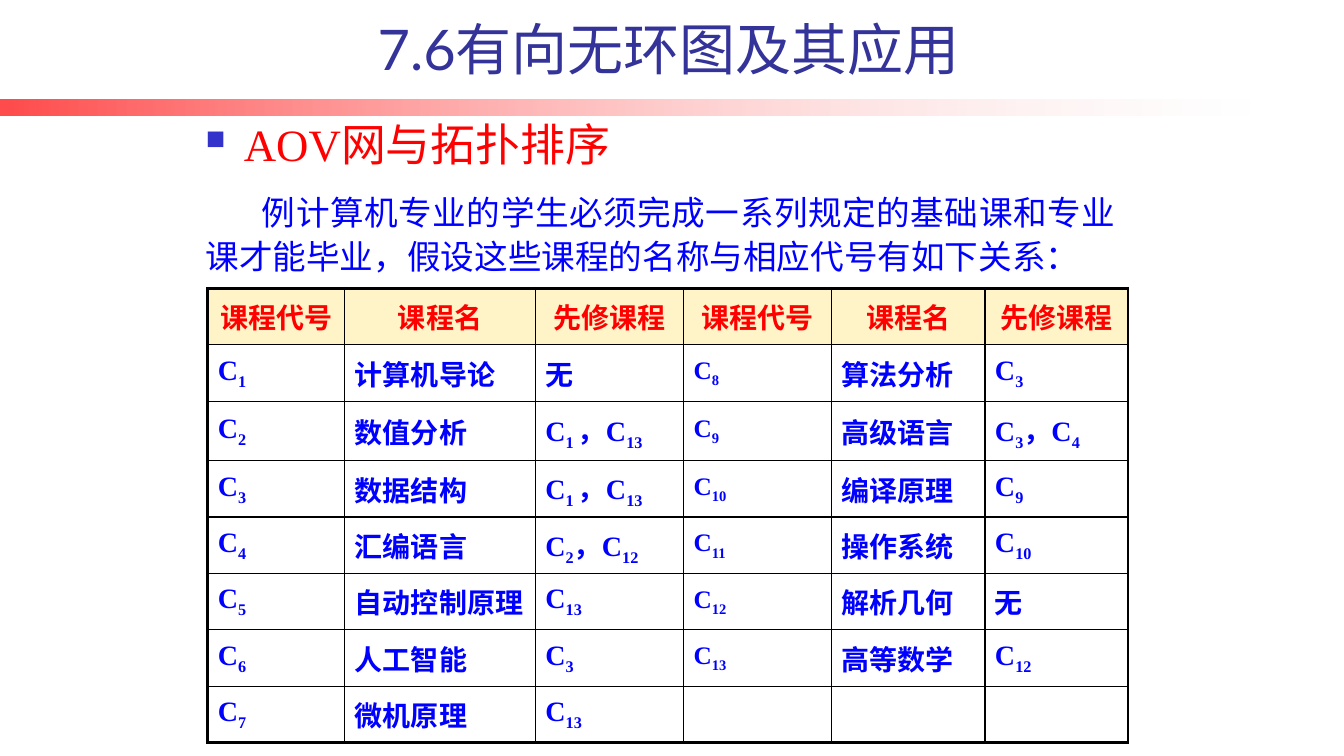
import itertools

import pptx
import pptx.dml.color
import pptx.enum.shapes
import pptx.enum.text
import pptx.oxml
import pptx.oxml.ns
import pptx.util

WIDTH, HEIGHT = 13.33, 7.5
COLORS = {"title": "333399", "bullet": "3333CC", "red": "FF0000", "blue": "0000FF",
          "header": "FFF4C8", "border": "000000", "white": "FFFFFF"}
SERIF, SANS = "Times New Roman", "Lato"
ALIGN = pptx.enum.text.PP_ALIGN
ANCHOR = pptx.enum.text.MSO_ANCHOR
COLUMNS = [1.36, 1.89, 1.47, 1.47, 1.52, 1.42]
ROWS = [0.56, 0.56, 0.59] + [0.56] * 5
CODE_COLUMN = 3
HEADER = ["课程代号", "课程名", "先修课程"] * 2
COURSES = [
    ("计算机导论", "无"), ("数值分析", "C1 ，C13"), ("数据结构", "C1 ，C13"),
    ("汇编语言", "C2，C12"), ("自动控制原理", "C13"), ("人工智能", "C3"),
    ("微机原理", "C13"), ("算法分析", "C3"), ("高级语言", "C3，C4"),
    ("编译原理", "C9"), ("操作系统", "C10"), ("解析几何", "无"), ("高等数学", "C12"),
]


def rgb(name):
    """Return the named colour."""
    return pptx.dml.color.RGBColor.from_string(COLORS[name])


def add_xml(parent, markup, index=None):
    """Insert a DrawingML element into its parent."""
    tag, rest = markup.split(" ", 1)
    element = pptx.oxml.parse_xml(f"<{tag} {pptx.oxml.ns.nsdecls('a')} {rest}")
    parent.insert(len(parent) if index is None else index, element)


def add_text(para, text, size, color, font=SERIF, bold=False, align=ALIGN.LEFT,
             subscripts=False):
    """Write text into a paragraph, lowering digits when subscripts is set."""
    para.alignment = align
    groups = itertools.groupby(text, lambda char: subscripts and char in "0123456789 ")
    for lowered, chars in groups:
        span = para.add_run()
        span.text = "".join(chars)
        span.font.size = pptx.util.Pt(size)
        span.font.name = font
        span.font.bold = bold
        span.font.color.rgb = rgb(color)
        if lowered:
            span._r.get_or_add_rPr().set("baseline", "-25000")


def add_box(page, area, anchor):
    """Add a wrapping text box and return its frame."""
    frame = page.shapes.add_textbox(*map(pptx.util.Inches, area)).text_frame
    frame.word_wrap = True
    frame.vertical_anchor = anchor
    return frame


def add_bar(page, area):
    """Draw the fading rule under the title."""
    bar = page.shapes.add_shape(pptx.enum.shapes.MSO_SHAPE.RECTANGLE,
                                *map(pptx.util.Inches, area))
    bar.shadow.inherit = False
    bar.line.fill.background()
    bar.fill.gradient()
    bar.fill.gradient_angle = 0
    for stop, color, opacity in zip(bar.fill.gradient_stops, ("red", "white"), (71, 18)):
        stop.color.rgb = rgb(color)
        add_xml(stop._gs[0], f'a:alpha val="{opacity * 1000}"/>')


def add_title(page, area):
    """Write the page title."""
    frame = add_box(page, area, ANCHOR.BOTTOM)
    add_text(frame.paragraphs[0], "7.6有向无环图及其应用", 40, "title", SANS,
             align=ALIGN.CENTER)


def add_heading(page, area):
    """Write the bulleted section heading."""
    para = add_box(page, area, ANCHOR.BOTTOM).paragraphs[0]
    properties = para._p.get_or_add_pPr()
    indent = pptx.util.Inches(0.38)
    properties.set("marL", str(indent))
    properties.set("indent", str(-indent))
    add_xml(properties, f'a:buClr ><a:srgbClr val="{COLORS["bullet"]}"/></a:buClr>')
    add_xml(properties, 'a:buSzPct val="60000"/>')
    add_xml(properties, 'a:buChar char="■"/>')
    add_text(para, "AOV网与拓扑排序", 32, "red")


def add_intro(page, area):
    """Write the indented introduction."""
    frame = add_box(page, area, ANCHOR.TOP)
    frame.margin_top = pptx.util.Inches(0.12)
    para = frame.paragraphs[0]
    para.line_spacing = 1.1
    para._p.get_or_add_pPr().set("indent", str(pptx.util.Inches(0.56)))
    add_text(para, "例计算机专业的学生必须完成一系列规定的基础课和专业课才能毕业，"
             "假设这些课程的名称与相应代号有如下关系：", 24, "blue", SANS,
             align=ALIGN.JUSTIFY)


def add_borders(cell, outer):
    """Rule all four sides of a cell, heavier on the outer sides."""
    properties = cell._tc.get_or_add_tcPr()
    for index, side in enumerate("LRTB"):
        width = pptx.util.Pt(2.25 if side in outer else 1)
        add_xml(properties, f'a:ln{side} w="{width}"><a:solidFill><a:srgbClr '
                f'val="{COLORS["border"]}"/></a:solidFill></a:ln{side}>', index)


def course_grid():
    """Arrange the numbered courses in two side-by-side halves."""
    entries = [(f"C{number}", *course) for number, course in enumerate(COURSES, 1)]
    half = len(ROWS) - 1
    pairs = itertools.zip_longest(entries[:half], entries[half:], fillvalue=("",) * 3)
    return [HEADER] + [left + right for left, right in pairs]


def add_courses(page, left, top):
    """Draw the table of courses."""
    area = (left, top, sum(COLUMNS), sum(ROWS))
    table = page.shapes.add_table(len(ROWS), len(COLUMNS),
                                  *map(pptx.util.Inches, area)).table
    table.first_row = table.horz_banding = False
    for column, width in zip(table.columns, COLUMNS):
        column.width = pptx.util.Inches(width)
    for row, height in zip(table.rows, ROWS):
        row.height = pptx.util.Inches(height)
    for i, texts in enumerate(course_grid()):
        for j, text in enumerate(texts):
            cell = table.cell(i, j)
            cell.vertical_anchor = ANCHOR.MIDDLE
            para = cell.text_frame.paragraphs[0]
            if i == 0:
                cell.fill.solid()
                cell.fill.fore_color.rgb = rgb("header")
                add_text(para, text, 20, "red", bold=True, align=ALIGN.CENTER)
            else:
                cell.fill.background()
                is_code = j == CODE_COLUMN
                add_text(para, text, 18 if is_code else 20, "blue", bold=True,
                         align=ALIGN.LEFT if is_code else ALIGN.JUSTIFY, subscripts=True)
            edges = {"L": j == 0, "R": j == len(COLUMNS) - 1,
                     "T": i == 0, "B": i == len(ROWS) - 1}
            add_borders(cell, [side for side, is_outer in edges.items() if is_outer])


def main():
    """Build and save the deck."""
    deck = pptx.Presentation()
    deck.slide_width = pptx.util.Inches(WIDTH)
    deck.slide_height = pptx.util.Inches(HEIGHT)
    page = deck.slides.add_slide(deck.slide_layouts[6])
    add_bar(page, (0, 0.99, 12.39, 0.16))
    add_title(page, (2.37, 0.15, 8.52, 0.71))
    add_heading(page, (1.94, 1.08, 4.88, 0.66))
    add_intro(page, (1.94, 1.74, 9.22, 1.06))
    add_courses(page, 2.06, 2.86)
    deck.save("out.pptx")


if __name__ == "__main__":
    main()
